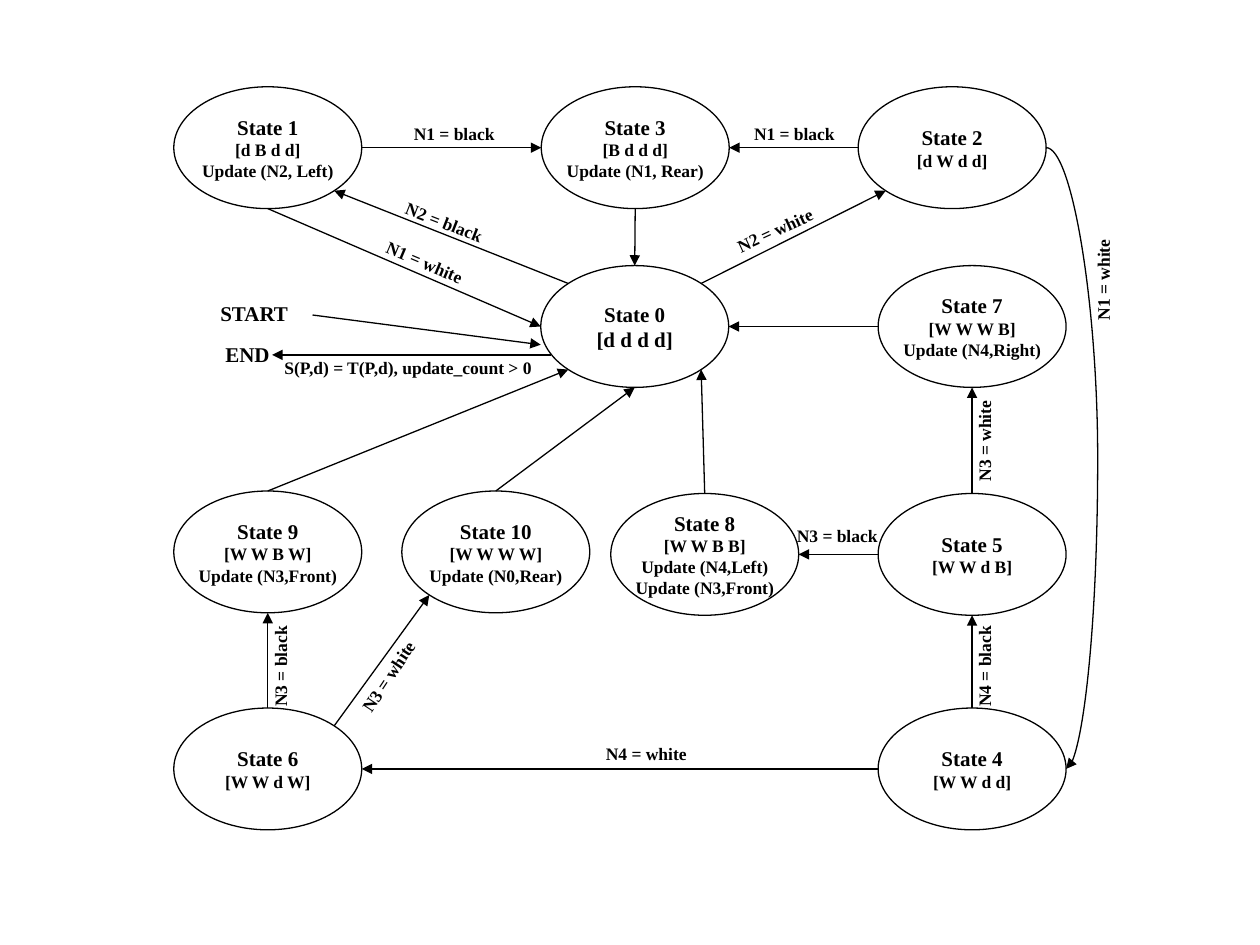
from dataclasses import dataclass
from math import cos, radians, sin

from lxml import etree
from pptx import Presentation
from pptx import util as u
from pptx.dml.color import RGBColor
from pptx.enum import shapes, text
from pptx.oxml import ns

COLOURS = {"ink": "000000", "paper": "FFFFFF"}
FONT = "Times New Roman"
HEADING, BODY = 12, 10
STATE_WIDTH, STATE_HEIGHT = 107.4, 69.6
LINE_WIDTH = 0.75
CURVE_BULGE = 29.5
BEARINGS = {"R": 0, "BR": 45, "B": 90, "BL": 135, "L": 180, "TL": 225, "T": 270, "TR": 315}


@dataclass
class State:
    left: float
    top: float
    lines: tuple[str, ...]
    body_size: int = BODY

    def site(self, side: str) -> tuple[float, float]:
        """Return the point on the outline that faces a side."""
        angle = radians(BEARINGS[side])
        return (
            self.left + STATE_WIDTH / 2 * (1 + cos(angle)),
            self.top + STATE_HEIGHT / 2 * (1 + sin(angle)),
        )


@dataclass
class Transition:
    source: int
    source_side: str
    target: int
    target_side: str
    curved: bool = False


@dataclass
class Label:
    words: str
    centre_x: float
    centre_y: float
    rotation: float = 0
    width: float = 61
    height: float = 19.4
    size: int = BODY


STATES = {
    0: State(309, 151.8, ("[d d d d]",), HEADING),
    1: State(99.3, 49.6, ("[d B d d]", "Update (N2, Left)")),
    2: State(490.4, 49.6, ("[d W d d]",)),
    3: State(309.3, 49.6, ("[B d d d]", "Update (N1, Rear)")),
    4: State(501.8, 404.6, ("[W W d d]",)),
    5: State(501.8, 282, ("[W W d B]",)),
    6: State(99.3, 404.6, ("[W W d W]",)),
    7: State(501.8, 151.8, ("[W W W B]", "Update (N4,Right)")),
    8: State(349, 282, ("[W W B B]", "Update (N4,Left)", "Update (N3,Front)")),
    9: State(99.3, 280.6, ("[W W B W]", "Update (N3,Front)")),
    10: State(229.6, 280.6, ("[W W W W]", "Update (N0,Rear)")),
}
TRANSITIONS = [
    Transition(0, "TL", 1, "BR"),
    Transition(0, "TR", 2, "BL"),
    Transition(1, "R", 3, "L"),
    Transition(1, "B", 0, "L"),
    Transition(2, "L", 3, "R"),
    Transition(2, "R", 4, "R", curved=True),
    Transition(3, "B", 0, "T"),
    Transition(4, "T", 5, "B"),
    Transition(4, "L", 6, "R"),
    Transition(5, "L", 8, "R"),
    Transition(5, "T", 7, "B"),
    Transition(6, "T", 9, "B"),
    Transition(6, "TR", 10, "BL"),
    Transition(7, "L", 0, "R"),
    Transition(8, "T", 0, "BR"),
    Transition(9, "T", 0, "BL"),
    Transition(10, "T", 0, "B"),
]
START_ARROW = ((178.6, 180), (309, 197))
END_ARROW = ((314.8, 202.8), (155.5, 202.8))
LABELS = [
    Label("N1 = black", 259.9, 76.7),
    Label("N1 = black", 454.3, 76.7),
    Label("N2 = black", 254.2, 127.1, 21.4),
    Label("N2 = white", 443.2, 131.4, 335.2),
    Label("N1 = white", 243, 150.1, 22.8),
    Label("N1 = white", 630.4, 159.5, 270),
    Label("N3 = white", 562.5, 251.6, 270),
    Label("N3 = black", 478.8, 306.4),
    Label("N4 = black", 562.5, 380.5, 270),
    Label("N3 = black", 160.2, 380.5, 270),
    Label("N3 = white", 222.1, 386.3, 303.5),
    Label("N4 = white", 369.7, 430.9),
    Label("START", 146.2, 179.3, width=54.7, height=21.6, size=HEADING),
    Label("END", 141.5, 202.3, width=39.6, height=21.6, size=HEADING),
    Label("S(P,d) = T(P,d), update_count > 0", 235.8, 209.9, width=160.6),
]


def colour(name: str) -> RGBColor:
    """Look up a named colour."""
    return RGBColor.from_string(COLOURS[name])


def write(paragraph, words: str, size: int, alignment) -> None:
    """Fill a paragraph with bold diagram text."""
    paragraph.text = words
    paragraph.alignment = alignment
    font = paragraph.font
    font.name, font.size, font.bold = FONT, u.Pt(size), True
    font.color.rgb = colour("ink")


def draw_state(slide, number: int, state: State) -> None:
    """Draw a state as an ellipse with its heading and details."""
    shape = slide.shapes.add_shape(
        shapes.MSO_SHAPE.OVAL,
        *map(u.Pt, (state.left, state.top, STATE_WIDTH, STATE_HEIGHT)),
    )
    shape.shadow.inherit = False
    shape.fill.solid()
    shape.fill.fore_color.rgb = colour("paper")
    shape.line.color.rgb = colour("ink")
    shape.line.width = u.Pt(LINE_WIDTH)
    frame = shape.text_frame
    frame.word_wrap = False
    frame.vertical_anchor = text.MSO_ANCHOR.MIDDLE
    write(frame.paragraphs[0], f"State {number}", HEADING, text.PP_ALIGN.CENTER)
    for line in state.lines:
        write(frame.add_paragraph(), line, state.body_size, text.PP_ALIGN.CENTER)


def draw_arrow(slide, start: tuple, end: tuple, curved: bool = False) -> None:
    """Draw a straight or bulging connector with a triangle at its end."""
    kind = shapes.MSO_CONNECTOR.CURVE if curved else shapes.MSO_CONNECTOR.STRAIGHT
    connector = slide.shapes.add_connector(kind, *map(u.Pt, (*start, *end)))
    connector.line.color.rgb = colour("ink")
    connector.line.width = u.Pt(LINE_WIDTH)
    properties = connector.element.spPr
    etree.SubElement(properties.find(ns.qn("a:ln")), ns.qn("a:tailEnd"), type="triangle")
    etree.SubElement(properties, ns.qn("a:effectLst"))
    if curved:
        bend = round(100000 * CURVE_BULGE / (end[0] - start[0]))
        geometry = properties.find(ns.qn("a:prstGeom"))
        guides = geometry.find(ns.qn("a:avLst"))
        etree.SubElement(guides, ns.qn("a:gd"), name="adj1", fmla=f"val {bend}")


def draw_label(slide, label: Label) -> None:
    """Draw a text label around its centre point."""
    left = label.centre_x - label.width / 2
    top = label.centre_y - label.height / 2
    shape = slide.shapes.add_textbox(*map(u.Pt, (left, top, label.width, label.height)))
    shape.rotation = label.rotation
    frame = shape.text_frame
    frame.word_wrap = False
    frame.auto_size = text.MSO_AUTO_SIZE.SHAPE_TO_FIT_TEXT
    write(frame.paragraphs[0], label.words, label.size, text.PP_ALIGN.LEFT)


def main() -> None:
    """Build the state diagram slide."""
    presentation = Presentation()
    presentation.slide_width, presentation.slide_height = u.Pt(720), u.Pt(540)
    slide = presentation.slides.add_slide(presentation.slide_layouts[6])
    for number, state in STATES.items():
        draw_state(slide, number, state)
    for transition in TRANSITIONS:
        start = STATES[transition.source].site(transition.source_side)
        end = STATES[transition.target].site(transition.target_side)
        draw_arrow(slide, start, end, transition.curved)
    for start, end in (START_ARROW, END_ARROW):
        draw_arrow(slide, start, end)
    for label in LABELS:
        draw_label(slide, label)
    presentation.save("out.pptx")


if __name__ == "__main__":
    main()
